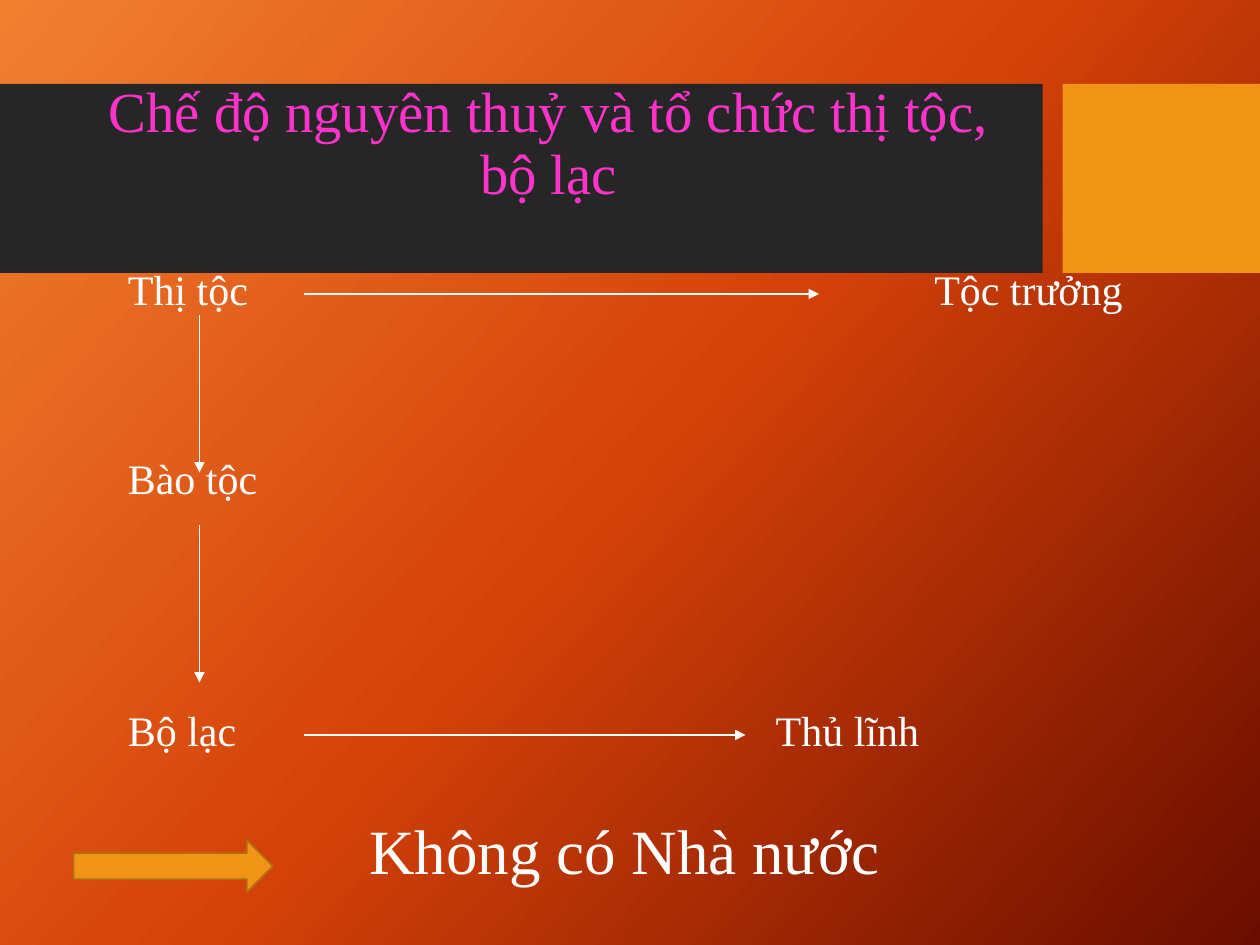
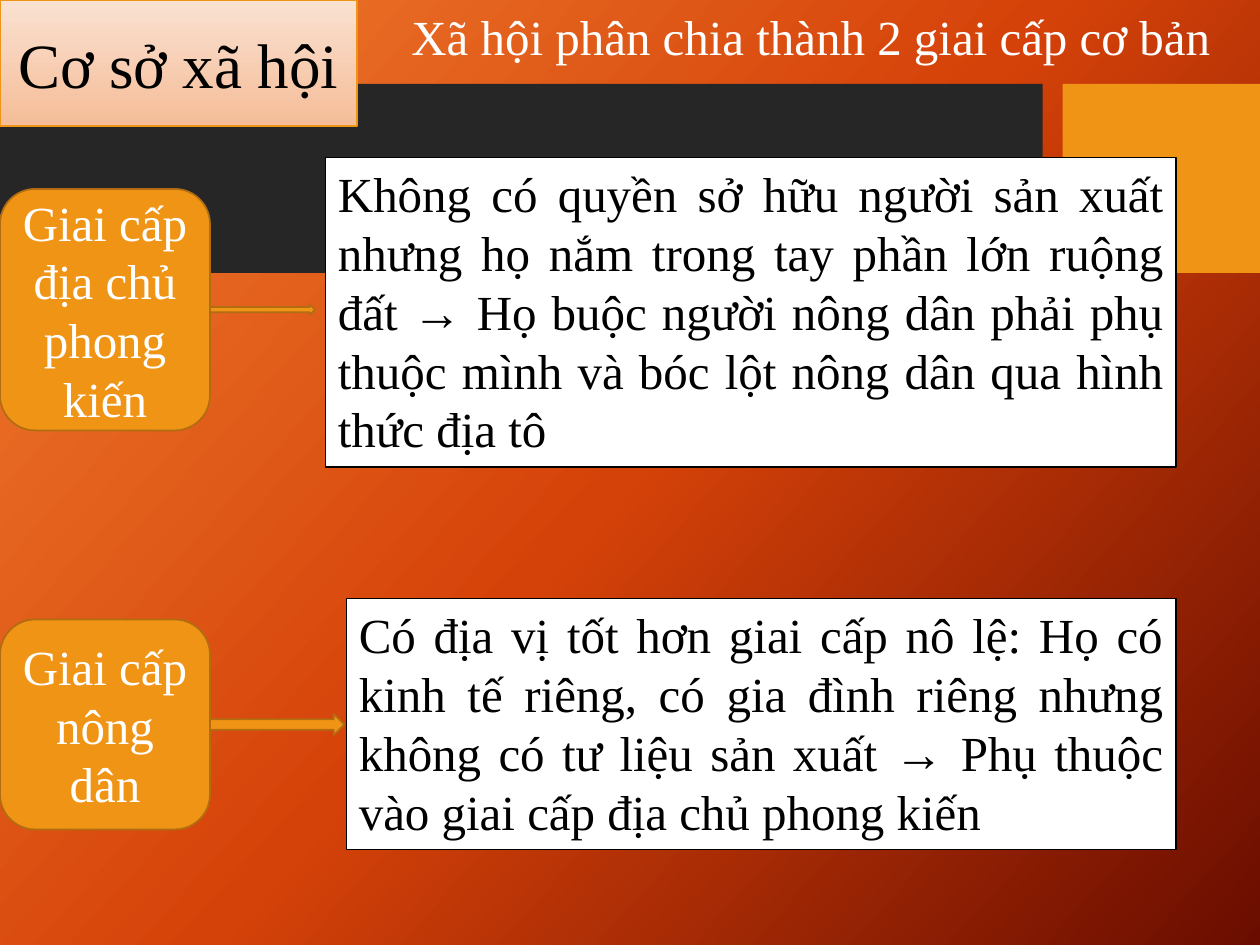
from copy import deepcopy

from lxml import etree
from pptx import Presentation
from pptx.dml.color import RGBColor
from pptx.enum.shapes import MSO_CONNECTOR, MSO_SHAPE
from pptx.enum.text import MSO_ANCHOR, PP_ALIGN
from pptx.oxml.ns import qn
from pptx.util import Inches, Pt

RECT, ROUND, ARROW = MSO_SHAPE.RECTANGLE, MSO_SHAPE.ROUNDED_RECTANGLE, MSO_SHAPE.RIGHT_ARROW
STRAIGHT = MSO_CONNECTOR.STRAIGHT
TOP, MIDDLE = MSO_ANCHOR.TOP, MSO_ANCHOR.MIDDLE
LEFT, CENTER, JUSTIFY = PP_ALIGN.LEFT, PP_ALIGN.CENTER, PP_ALIGN.JUSTIFY

WHITE = RGBColor(0xFF, 0xFF, 0xFF)
BLACK = RGBColor(0, 0, 0)
DARK = RGBColor(0x26, 0x26, 0x26)
AMBER = RGBColor(0xF0, 0x94, 0x15)
BROWN = RGBColor(0xB2, 0x6D, 0x10)
PINK = RGBColor(0xFF, 0x33, 0xCC)
GLOW = [RGBColor(0xF1, 0x80, 0x31), RGBColor(0xD5, 0x42, 0x09), RGBColor(0x6A, 0x0D, 0x00)]
PEACH = [RGBColor(0xFA, 0xE1, 0xD1), RGBColor(0xF5, 0xBD, 0x98)]

FONT = "Times New Roman"
COLS, ROWS = 120, 90
CELL = Inches(10) / COLS


def grid(*cells):
    """Turn grid cells into lengths."""
    return [round(cell * CELL) for cell in cells]


def blend(fill, colors, angle):
    """Fill with evenly spaced colours, the angle running clockwise."""
    fill.gradient()
    fill.gradient_angle = 360 - angle
    first = fill.gradient_stops[0]._gs
    for _ in colors[2:]:
        first.addnext(deepcopy(first))
    for i, (stop, color) in enumerate(zip(fill.gradient_stops, colors)):
        stop.color.rgb = color
        stop.position = i / (len(colors) - 1)


def write(shape, text, size, color, align=LEFT, anchor=TOP, lead=None):
    """Put one styled paragraph in a shape."""
    frame = shape.text_frame
    frame.word_wrap = True
    frame.vertical_anchor = anchor
    para = frame.paragraphs[0]
    para.text = text
    para.alignment = align
    para.line_spacing = lead
    para.font.name, para.font.size = FONT, Pt(size)
    para.font.color.rgb = color
    return frame


def label(slide, box, text, size, color=WHITE, **style):
    """Add a plain text box."""
    return write(slide.shapes.add_textbox(*grid(*box)), text, size, color, **style)


def tight(slide, box, text, size, color=WHITE, **style):
    """Add a text box with closer lines and no space at its top."""
    label(slide, box, text, size, color, lead=0.9, **style).margin_top = 0


def block(slide, kind, box, fill=AMBER, line=BROWN, width=1):
    """Add a preset shape with a flat or blended fill."""
    shape = slide.shapes.add_shape(kind, *grid(*box))
    shape.shadow.inherit = False
    if isinstance(fill, list):
        blend(shape.fill, fill, 90)
    else:
        shape.fill.solid()
        shape.fill.fore_color.rgb = fill
    if line is None:
        shape.line.fill.background()
    else:
        shape.line.color.rgb = line
        shape.line.width = Pt(width)
    return shape


def link(slide, start, end):
    """Draw a thin white arrow between two grid points."""
    line = slide.shapes.add_connector(STRAIGHT, *grid(*start, *end))
    line.line.color.rgb = WHITE
    line.line.width = Pt(0.75)
    etree.SubElement(line.line._get_or_add_ln(), qn("a:tailEnd"), type="triangle")
    etree.SubElement(line._element.spPr, qn("a:effectLst"))


def base(deck):
    """Add a slide with the shared backdrop and bands."""
    slide = deck.slides.add_slide(deck.slide_layouts[6])
    blend(slide.background.fill, GLOW, 42)
    block(slide, RECT, (0, 8, 99.3, 18), DARK, None)
    block(slide, RECT, (101.2, 8, COLS - 101.2, 18), AMBER, None)
    return slide


def tribes(slide, box):
    """Draw the clan ladder with its leaders to the right."""
    x, y, w, h = box
    step = h / 8
    for row, group, col, chief in [(0, "Thị tộc", 76.8, "Tộc trưởng"),
                                   (3, "Bào tộc", None, None),
                                   (7, "Bộ lạc", 61.7, "Thủ lĩnh")]:
        top = y + row * step
        tight(slide, (x, top, 20, step), group, 24)
        if chief:
            tight(slide, (x + col, top, w - col, step), chief, 24)
    for top in (4.4, 24.4):
        link(slide, (x + 8, y + top), (x + 8, y + top + 15))
    for top, end in ((2.4, 67), (44.4, 60)):
        link(slide, (x + 18, y + top), (x + end, y + top))


def verdict(slide, box, text):
    """Draw a block arrow and the conclusion beside it."""
    x, y, w, h = box
    block(slide, ARROW, (x, y + 3.3, 19, 5))
    label(slide, (x + 27, y, w - 27, h), text, 36)


def estate(slide, box, name, note, inset, lift, high):
    """Draw a class tag, an arrow and the note it leads to."""
    x, y, w, h = box
    tag = 20
    write(block(slide, ROUND, (x, y, tag, h)), name, 28, WHITE, CENTER, MIDDLE)
    paper = block(slide, RECT, (x + inset, y - lift, w - inset, high), WHITE, BLACK)
    write(paper, note, 28, BLACK, JUSTIFY)
    thick = lift - 2 and 1 or 2
    reach = inset - tag - (1 if thick == 1 else 0.2)
    block(slide, ARROW, (x + tag, y + (h - thick) / 2, reach, thick))


def origins(deck):
    """Build the slide on primitive society."""
    slide = base(deck)
    tight(slide, (7, 8, 90.5, 18), "Chế độ nguyên thuỷ và tổ chức thị tộc, bộ lạc",
          32.4, PINK, align=CENTER)
    tribes(slide, (11, 25.6, 105, 48))
    verdict(slide, (7, 76.7, 97, 8.5), "Không có Nhà nước")


def classes(deck):
    """Build the slide on the two social classes."""
    slide = base(deck)
    head = block(slide, RECT, (0, 0, 34, 12), PEACH, AMBER, 0.75)
    write(head, "Cơ sở xã hội", 36, BLACK, CENTER, MIDDLE)
    label(slide, (38, 0, 82, 6.8), "Xã hội phân chia thành 2 giai cấp cơ bản", 28)
    estate(slide, (0, 18, 112, 23), "Giai cấp địa chủ phong kiến",
           "Không có quyền sở hữu người sản xuất nhưng họ nắm trong tay phần lớn "
           "ruộng đất → Họ buộc người nông dân phải phụ thuộc mình và bóc lột "
           "nông dân qua hình thức địa tô", 31, 3, 29.5)
    estate(slide, (0, 59, 112, 20), "Giai cấp nông dân",
           "Có địa vị tốt hơn giai cấp nô lệ: Họ có kinh tế riêng, có gia đình "
           "riêng nhưng không có tư liệu sản xuất → Phụ thuộc vào giai cấp địa "
           "chủ phong kiến", 33, 2, 23.9)


def main():
    """Build and save the deck."""
    deck = Presentation()
    deck.slide_width, deck.slide_height = grid(COLS, ROWS)
    origins(deck)
    classes(deck)
    deck.save("out.pptx")


if __name__ == "__main__":
    main()
